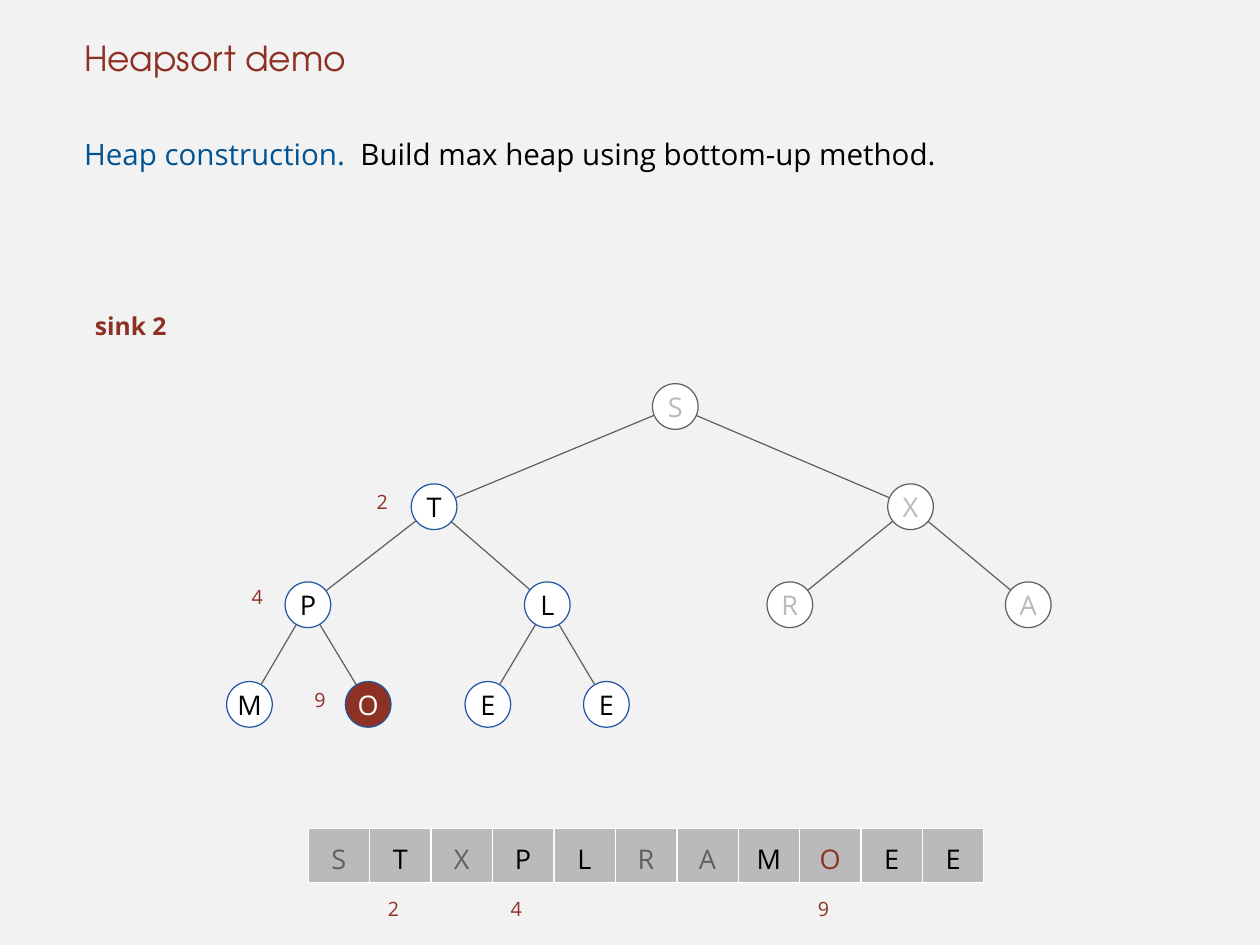
from dataclasses import dataclass

from lxml import etree
from pptx import Presentation
from pptx import util as u
from pptx.dml.color import RGBColor
from pptx.enum import shapes, text
from pptx.oxml import ns

COLS, ROWS = 64, 48


@dataclass(frozen=True)
class Theme:
    page: str = "F2F2F2"
    white: str = "FFFFFF"
    black: str = "000000"
    red: str = "8D3124"
    blue: str = "005493"
    rim: str = "1F57A4"
    dark: str = "606060"
    pale: str = "BABABA"
    font: str = "Open Sans"
    head: str = "TeX Gyre Adventor"
    title: int = 28
    body: int = 24
    key: int = 22
    step: int = 20
    mark: int = 16


class Deck:
    """Draws on a grid of 64 columns and 48 rows."""

    def __init__(self, theme):
        self.theme = theme
        self.show = Presentation()
        self.show.slide_width = u.Inches(14.22)
        self.show.slide_height = u.Inches(10.67)
        self.slide = self.show.slides.add_slide(self.show.slide_layouts[6])
        self.tint(self.slide.background.fill, theme.page)

    def grid(self, col, row):
        return (round(self.show.slide_width * col / COLS),
                round(self.show.slide_height * row / ROWS))

    def tint(self, fill, color):
        fill.solid()
        fill.fore_color.rgb = RGBColor.from_string(color)

    def letter(self, shape, runs, size, font=None, bold=False, space=None,
               align=text.PP_ALIGN.LEFT, anchor=text.MSO_ANCHOR.TOP, inset=0.0):
        """Fill a shape with (words, color) runs."""
        frame = shape.text_frame
        frame.margin_left = u.Inches(inset)
        frame.margin_right = frame.margin_top = frame.margin_bottom = 0
        frame.vertical_anchor = anchor
        frame.word_wrap = True
        line = frame.paragraphs[0]
        line.alignment = align
        if space:
            line.line_spacing = space
        for words, color in runs:
            run = line.add_run()
            run.text = words
            run.font.size = u.Pt(size)
            run.font.name = font or self.theme.font
            run.font.bold = bold
            run.font.color.rgb = RGBColor.from_string(color)

    def label(self, col, row, wide, high, runs, size, **style):
        box = self.slide.shapes.add_textbox(*self.grid(col, row), *self.grid(wide, high))
        self.letter(box, runs, size, inset=0.06, **style)

    def mark(self, col, row, rank, **style):
        self.label(col, row, 1.5, 1.6, [(str(rank), self.theme.red)], self.theme.mark, **style)

    def block(self, kind, col, row, wide, high, key, ink, fill, rim, weight, **style):
        """Draw a filled shape with one key in its middle."""
        shape = self.slide.shapes.add_shape(kind, *self.grid(col, row), *self.grid(wide, high))
        shape.shadow.inherit = False
        self.tint(shape.fill, fill)
        self.tint(shape.line.fill, rim)
        shape.line.width = u.Pt(weight)
        self.letter(shape, [(key, ink)], self.theme.key, align=text.PP_ALIGN.CENTER,
                    anchor=text.MSO_ANCHOR.MIDDLE, **style)

    def node(self, spot, key, ink, fill, rim):
        size = 2.32
        col, row = (place - size / 2 for place in spot)
        self.block(shapes.MSO_SHAPE.OVAL, col, row, size, size, key, ink, fill, rim, 1)

    def cell(self, col, row, key, ink):
        self.block(shapes.MSO_SHAPE.RECTANGLE, col, row, 3.1, 2.75, key, ink,
                   self.theme.pale, self.theme.white, 0.5, space=1.2)

    def edge(self, start, end):
        line = self.slide.shapes.add_connector(
            shapes.MSO_CONNECTOR.STRAIGHT, *self.grid(*start), *self.grid(*end))
        self.tint(line.line.fill, self.theme.dark)
        line.line.width = u.Pt(1)
        etree.SubElement(line._element.spPr, ns.qn("a:effectLst"))


HEAP = dict(enumerate("STXPLRAMOEE", 1))
DONE = {1, 3, 6, 7}
SUNK = 9
LEVELS = [(20.65, [34.3]),
          (25.74, [22.05, 46.25]),
          (30.72, [15.64, 27.8, 40.12, 52.23]),
          (35.78, [12.67, 18.7, 24.78, 30.8])]
SPOTS = dict(enumerate(((col, row) for row, cols in LEVELS for col in cols), 1))
TRAIL = {2: (18.86, 24.88), 4: (12.51, 29.7), 9: (15.7, 34.92)}
LEFT, PITCH = 15.66, 3.12


def draw_text(deck):
    theme = deck.theme
    deck.label(4, 6.25, 56, 40,
               [("Heap construction.  ", theme.blue),
                ("Build max heap using bottom-up method.", theme.black)],
               theme.body, space=u.Pt(39))
    deck.label(4, 0, 56, 4, [("Heapsort demo", theme.red)], theme.title,
               font=theme.head, anchor=text.MSO_ANCHOR.BOTTOM)
    deck.label(4.55, 15.8, 4.8, 1.94, [("sink 2", theme.red)], theme.step, bold=True)


def draw_tree(deck):
    theme = deck.theme
    for rank in range(2, len(HEAP) + 1):
        deck.edge(SPOTS[rank // 2], SPOTS[rank])
    for rank, key in HEAP.items():
        if rank in DONE:
            style = theme.pale, theme.white, theme.dark
        elif rank == SUNK:
            style = theme.white, theme.red, theme.rim
        else:
            style = theme.black, theme.white, theme.rim
        deck.node(SPOTS[rank], key, *style)
    for rank, spot in TRAIL.items():
        deck.mark(*spot, rank)


def draw_array(deck):
    theme = deck.theme
    for rank, key in HEAP.items():
        col = LEFT + (rank - 1) * PITCH
        ink = theme.dark if rank in DONE else theme.red if rank == SUNK else theme.black
        deck.cell(col, 42.08, key, ink)
        if rank in TRAIL:
            deck.mark(col + 0.65, 44.96, rank, space=1.5)


def main():
    deck = Deck(Theme())
    draw_text(deck)
    draw_tree(deck)
    draw_array(deck)
    deck.show.save("out.pptx")


if __name__ == "__main__":
    main()
